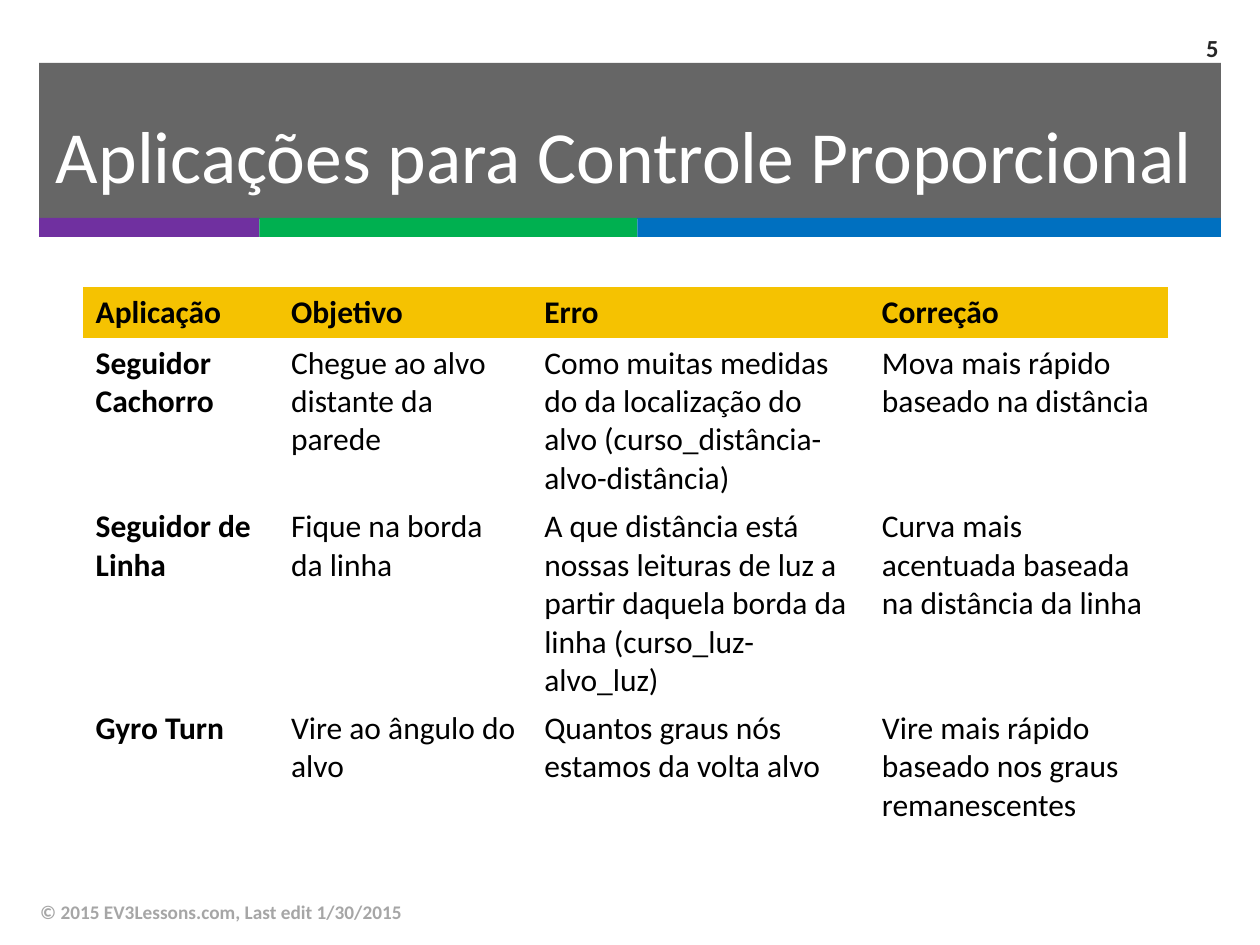
from itertools import accumulate

from lxml.etree import SubElement
from pptx import Presentation
from pptx.dml.color import RGBColor
from pptx.enum.shapes import MSO_SHAPE
from pptx.enum.text import MSO_ANCHOR, PP_ALIGN
from pptx.oxml.ns import qn
from pptx.util import Inches, Pt

WHITE = RGBColor(0xFF, 0xFF, 0xFF)
BLACK = RGBColor(0x00, 0x00, 0x00)
CHARCOAL = RGBColor(0x26, 0x26, 0x26)
GRAY = RGBColor(0xA6, 0xA6, 0xA6)
PURPLE = RGBColor(0x70, 0x30, 0xA0)
GREEN = RGBColor(0x00, 0xB0, 0x50)
BLUE = RGBColor(0x00, 0x70, 0xC0)
YELLOW = RGBColor(0xF5, 0xC2, 0x01)

FONT = "Calibri"
NO_STYLE_NO_GRID = "{2D5ABB26-0587-4C30-8999-92F81FD0307C}"

BANNER_LEFT, BANNER_WIDTH = 0.31, 9.38
STRIPE_TOP, STRIPE_HEIGHT = 1.73, 0.15
STRIPES = [(1.75, PURPLE), (3, GREEN), (4.63, BLUE)]

COLUMN_WIDTHS = [1.55, 2.01, 2.68, 2.37]
LINES_PER_ROW = [1, 4, 5, 3]
LINE_HEIGHT, CELL_PADDING = 0.3, 0.1
APPLICATIONS = [
    ["Aplicação", "Objetivo", "Erro", "Correção"],
    ["Seguidor Cachorro", "Chegue ao alvo distante da parede",
     "Como muitas medidas do da localização do alvo (curso_distância-alvo-distância)",
     "Mova mais rápido baseado na distância"],
    ["Seguidor de Linha", "Fique na borda da linha",
     "A que distância está nossas leituras de luz a partir daquela borda da linha "
     "(curso_luz-alvo_luz)",
     "Curva mais acentuada baseada na distância da linha"],
    ["Gyro Turn", "Vire ao ângulo do alvo",
     "Quantos graus nós estamos da volta alvo",
     "Vire mais rápido baseado nos graus remanescentes"],
]


def write(frame, text, size, color, bold=False, align=PP_ALIGN.LEFT):
    frame.word_wrap = True
    paragraph = frame.paragraphs[0]
    paragraph.text = text
    paragraph.alignment = align
    font = paragraph.runs[0].font
    font.color.rgb = color
    for attribute, value in {"name": FONT, "size": Pt(size), "bold": bold}.items():
        setattr(font, attribute, value)


def add_bar(slide, box, color, opacity=100):
    bar = slide.shapes.add_shape(MSO_SHAPE.RECTANGLE, *map(Inches, box))
    bar.shadow.inherit = False
    bar.fill.solid()
    bar.fill.fore_color.rgb = color
    bar.line.fill.background()
    if opacity < 100:
        color_element = bar.fill._xPr.find(qn("a:solidFill"))[0]
        SubElement(color_element, qn("a:alpha"), val=str(opacity * 1000))


def add_banner(slide):
    add_bar(slide, (BANNER_LEFT, 0.5, BANNER_WIDTH, 1.24), CHARCOAL, opacity=70)
    offsets = accumulate((width for width, _ in STRIPES), initial=BANNER_LEFT)
    for left, (width, color) in zip(offsets, STRIPES):
        add_bar(slide, (left, STRIPE_TOP, width, STRIPE_HEIGHT), color)


def set_title(slide, text):
    title = slide.shapes.title
    box = {"left": BANNER_LEFT, "top": 0.69, "width": BANNER_WIDTH, "height": 1.06}
    for attribute, value in box.items():
        setattr(title, attribute, Inches(value))
    title.text_frame.vertical_anchor = MSO_ANCHOR.MIDDLE
    write(title.text_frame, text, 42, WHITE, align=PP_ALIGN.RIGHT)
    # Bring the title in front of the banner
    slide.shapes._spTree.append(title._element)


def add_label(slide, box, text, size, color, align=PP_ALIGN.LEFT):
    frame = slide.shapes.add_textbox(*map(Inches, box)).text_frame
    frame.vertical_anchor = MSO_ANCHOR.MIDDLE
    write(frame, text, size, color, bold=True, align=align)


def add_applications_table(slide):
    heights = [CELL_PADDING + LINE_HEIGHT * lines for lines in LINES_PER_ROW]
    box = (0.66, 2.28, sum(COLUMN_WIDTHS), sum(heights))
    table = slide.shapes.add_table(
        len(heights), len(COLUMN_WIDTHS), *map(Inches, box)).table
    table._tbl.tblPr.find(qn("a:tableStyleId")).text = NO_STYLE_NO_GRID
    table.horz_banding = False
    for column, width in zip(table.columns, COLUMN_WIDTHS):
        column.width = Inches(width)
    for r, (height, texts) in enumerate(zip(heights, APPLICATIONS)):
        table.rows[r].height = Inches(height)
        for c, text in enumerate(texts):
            cell = table.cell(r, c)
            if r == 0:
                cell.fill.solid()
                cell.fill.fore_color.rgb = YELLOW
            else:
                cell.fill.background()
            write(cell.text_frame, text, 18, BLACK, bold=r == 0 or c == 0)


def main():
    deck = Presentation()
    deck.slide_width, deck.slide_height = Inches(10), Inches(7.5)
    slide = deck.slides.add_slide(deck.slide_layouts[5])
    add_banner(slide)
    set_title(slide, "Aplicações para Controle Proporcional ")
    add_label(slide, (0.22, 7.04, 6.7, 0.4),
              "© 2015 EV3Lessons.com, Last edit 1/30/2015", 11, GRAY)
    add_applications_table(slide)
    add_label(slide, (9.08, 0.18, 0.69, 0.39), "5", 14, CHARCOAL, PP_ALIGN.RIGHT)
    deck.save("out.pptx")


if __name__ == "__main__":
    main()
